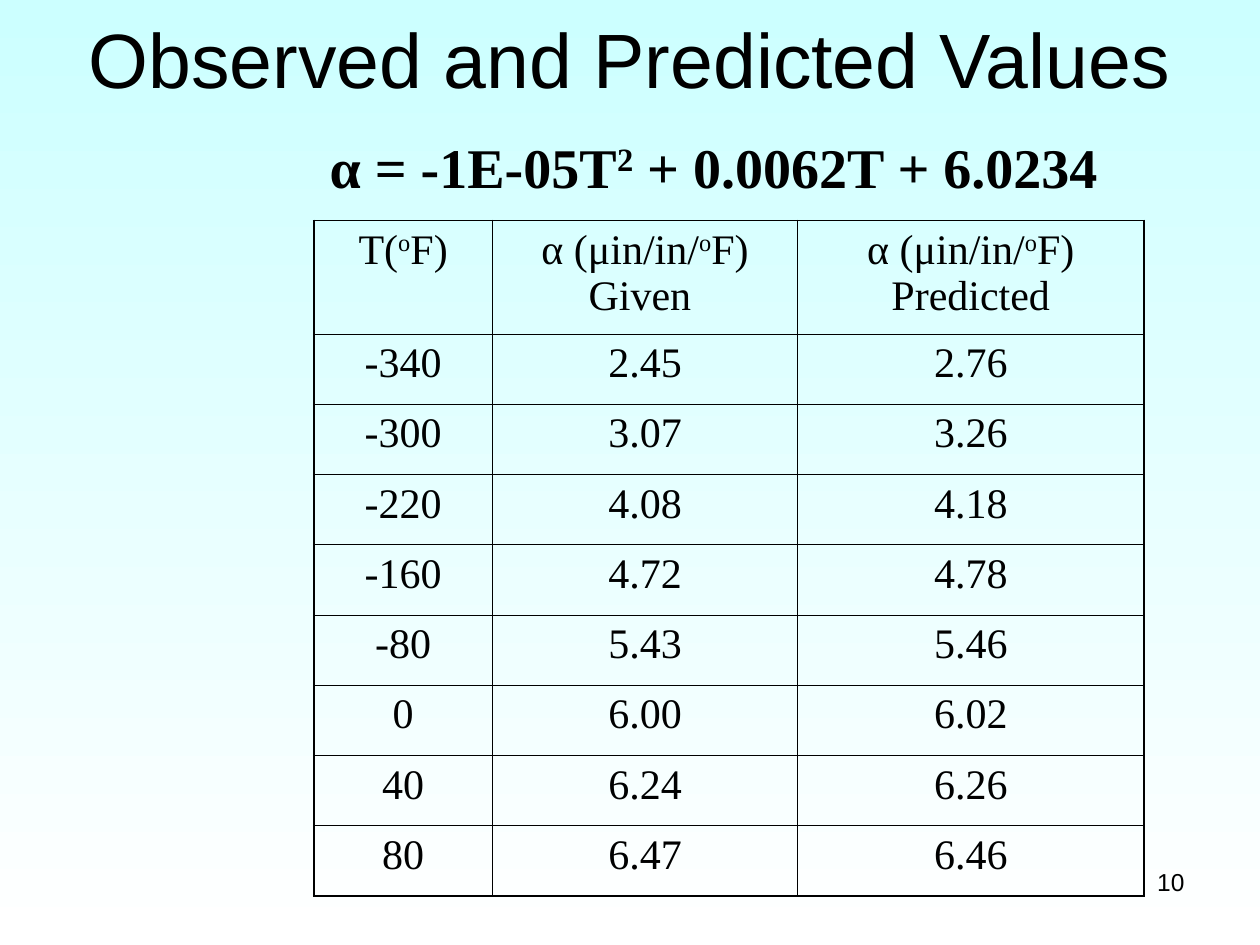
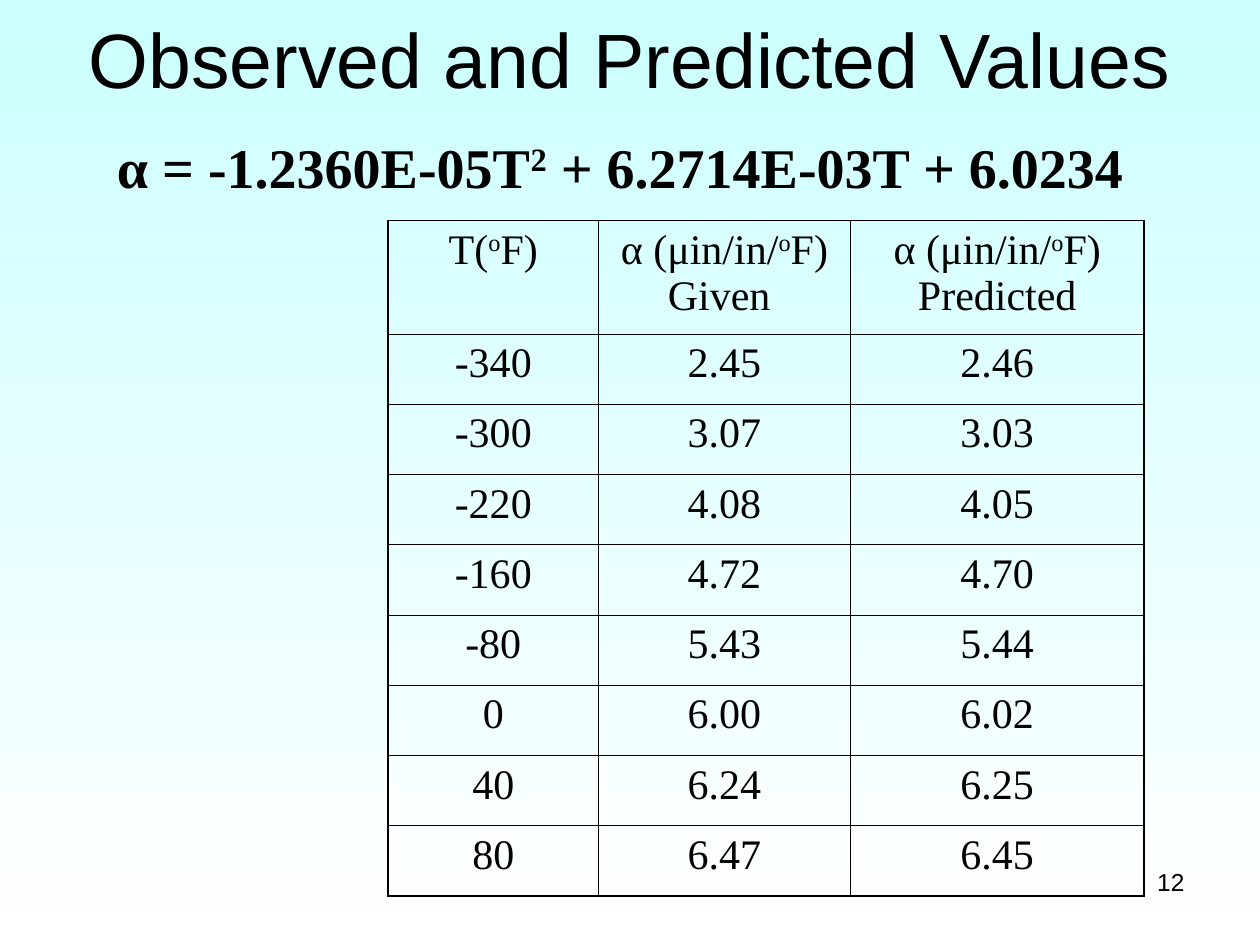
from pptx import Presentation
from pptx.dml.color import RGBColor
from pptx.enum.text import MSO_ANCHOR, MSO_AUTO_SIZE, PP_ALIGN
from pptx.oxml import parse_xml
from pptx.oxml.ns import nsdecls
from pptx.util import Inches, Pt

BLACK = RGBColor(0x00, 0x00, 0x00)
PALE_CYAN = RGBColor(0xCC, 0xFF, 0xFF)
WHITE = RGBColor(0xFF, 0xFF, 0xFF)
SANS = "Arial"
SERIF = "Times New Roman"
OUTER_LINE = Pt(1.08)
INNER_LINE = Pt(0.45)

TABLE_TOP, TABLE_RIGHT, TABLE_HEIGHT = 1.75, 9.08, 5.36
HEADER_HEIGHT = 0.9
TITLE = "Observed and Predicted Values"
HEADERS = ["T(^o^F)", "α (μin/in/^o^F)\nGiven ", "α (μin/in/^o^F)\nPredicted"]
TEMPERATURES = ["-340", "-300", "-220", "-160", "-80", "0", "40", "80"]
GIVEN = ["2.45", "3.07", "4.08", "4.72", "5.43", "6.00", "6.24", "6.47"]


def write(frame, text, size, font=SERIF, bold=False, align=PP_ALIGN.CENTER):
    """Fill a text frame; a newline starts a paragraph, ^x^ raises x."""
    for number, line in enumerate(text.split("\n")):
        paragraph = frame.add_paragraph() if number else frame.paragraphs[0]
        paragraph.alignment = align
        for index, part in enumerate(line.split("^")):
            run = paragraph.add_run()
            run.text = part
            run.font.name = font
            run.font.size = Pt(size)
            run.font.bold = bold
            run.font.color.rgb = BLACK
            if index % 2:
                run._r.get_or_add_rPr().set("baseline", "30000")


def set_background(master):
    fill = master.background.fill
    fill.gradient()
    fill.gradient_angle = 270
    for stop, color, position in zip(fill.gradient_stops, (PALE_CYAN, WHITE), (0, 1)):
        stop.color.rgb = color
        stop.position = position


def add_title(slide, text):
    title = slide.shapes.title
    title.left, title.top = Inches(0.5), Inches(0)
    title.width, title.height = Inches(9), Inches(0.83)
    frame = title.text_frame
    frame.auto_size = MSO_AUTO_SIZE.NONE
    frame.vertical_anchor = MSO_ANCHOR.MIDDLE
    frame.margin_top, frame.margin_bottom = Inches(0.08), Inches(0)
    write(frame, text, 44, font=SANS)


def add_text(slide, text, left, top, width, height, size, grow=False, **style):
    box = slide.shapes.add_textbox(Inches(left), Inches(top), Inches(width), Inches(height))
    frame = box.text_frame
    frame.word_wrap = True
    frame.auto_size = MSO_AUTO_SIZE.SHAPE_TO_FIT_TEXT if grow else MSO_AUTO_SIZE.NONE
    write(frame, text, size, **style)


def set_borders(cell, outer_sides):
    """Rule all four sides, heavier on those at the table's edge."""
    properties = cell._tc.get_or_add_tcPr()
    for side in "LRTB":
        width = OUTER_LINE if side in outer_sides else INNER_LINE
        properties.append(parse_xml(
            f'<a:ln{side} {nsdecls("a")} w="{int(width)}"><a:solidFill>'
            f'<a:srgbClr val="{BLACK}"/></a:solidFill></a:ln{side}>'))


def add_value_table(slide, predicted, column_widths):
    rows = [HEADERS, *zip(TEMPERATURES, GIVEN, predicted)]
    total_width = sum(column_widths)
    table = slide.shapes.add_table(
        len(rows), len(HEADERS), Inches(TABLE_RIGHT - total_width), Inches(TABLE_TOP),
        Inches(total_width), Inches(TABLE_HEIGHT)).table
    table.first_row = table.horz_banding = False
    for column, width in zip(table.columns, column_widths):
        column.width = Inches(width)
    value_height = (TABLE_HEIGHT - HEADER_HEIGHT) / len(TEMPERATURES)
    for r, values in enumerate(rows):
        table.rows[r].height = Inches(value_height if r else HEADER_HEIGHT)
        for c, value in enumerate(values):
            cell = table.cell(r, c)
            edges = {"L": c == 0, "R": c == len(HEADERS) - 1,
                     "T": r == 0, "B": r == len(rows) - 1}
            set_borders(cell, [side for side, at_edge in edges.items() if at_edge])
            cell.fill.background()
            write(cell.text_frame, value, 24)


def add_comparison(deck, page, equation, equation_left, equation_width,
                   equation_align, predicted, column_widths):
    slide = deck.slides.add_slide(deck.slide_layouts.get_by_name("Title Only"))
    add_text(slide, page, 7.17, 6.83, 2.33, 0.52, 14, font=SANS, align=PP_ALIGN.RIGHT)
    add_title(slide, TITLE)
    add_value_table(slide, predicted, column_widths)
    add_text(slide, equation, equation_left, 1, equation_width, 0.64, 32,
             grow=True, bold=True, align=equation_align)


def main():
    deck = Presentation()
    deck.slide_width, deck.slide_height = Inches(10), Inches(7.5)
    set_background(deck.slide_master)
    add_comparison(
        deck, "10", "α = -1E-05T^2^ + 0.0062T + 6.0234", 1.33, 8.67, PP_ALIGN.CENTER,
        ["2.76", "3.26", "4.18", "4.78", "5.46", "6.02", "6.26", "6.46"],
        [1.42, 2.42, 2.75])
    add_comparison(
        deck, "12", "α = -1.2360E-05T^2^ + 6.2714E-03T + 6.0234", 0.83, 8.5, PP_ALIGN.LEFT,
        ["2.46", "3.03", "4.05", "4.70", "5.44", "6.02", "6.25", "6.45"],
        [1.67, 2, 2.33])
    deck.save("out.pptx")


if __name__ == "__main__":
    main()
